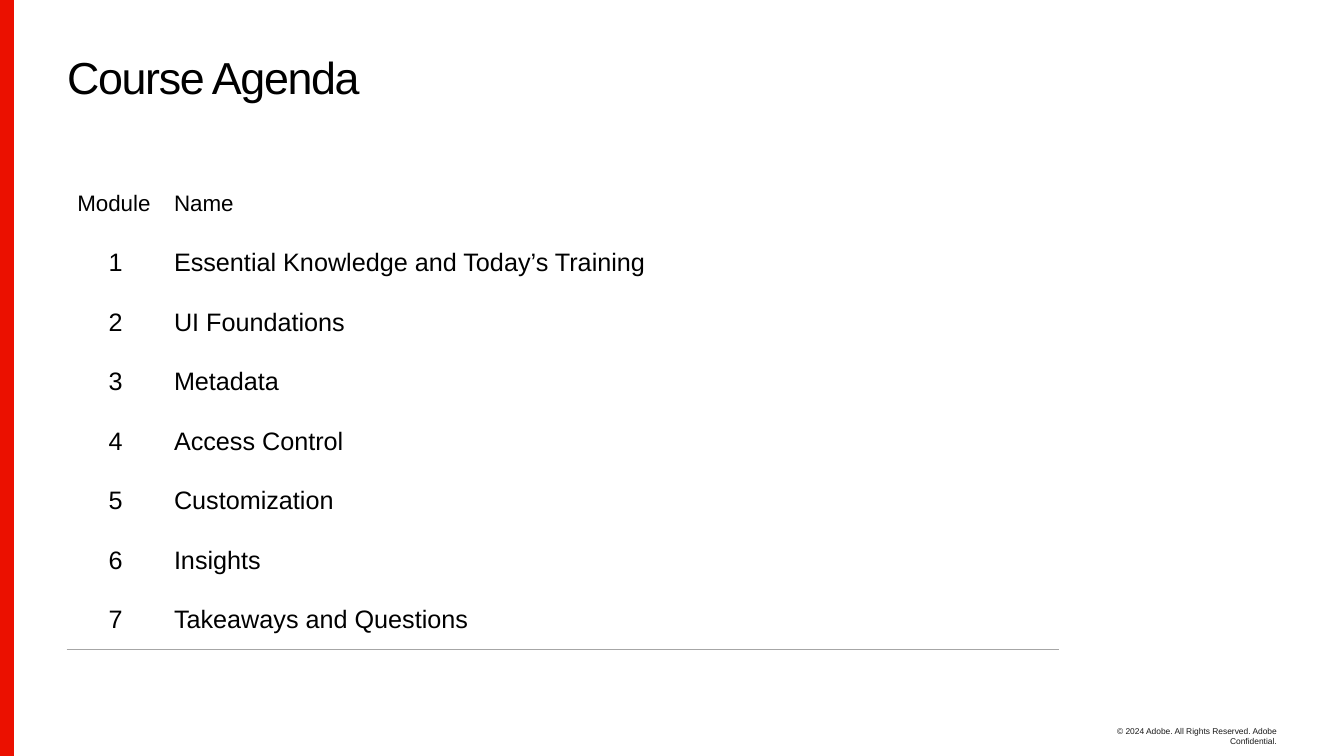
import pptx
import pptx.util
import pptx.dml.color
import pptx.enum.shapes
import pptx.enum.text
import pptx.oxml
import pptx.oxml.ns

Pt = pptx.util.Pt
ALIGN = pptx.enum.text.PP_ALIGN
ANCHOR = pptx.enum.text.MSO_ANCHOR
WIDE, HIGH = 960, 540
NAMES = [
    "Essential Knowledge and Today’s Training",
    "UI Foundations",
    "Metadata",
    "Access Control",
    "Customization",
    "Insights",
    "Takeaways and Questions",
]


def color(code):
    return pptx.dml.color.RGBColor.from_string(code)


def write(frame, text, size, code="000000", align=ALIGN.LEFT):
    para = frame.paragraphs[0]
    para.alignment = align
    run = para.add_run()
    run.text = text
    run.font.name = "Arial"
    run.font.size = Pt(size)
    run.font.bold = False
    run.font.color.rgb = color(code)
    return para, run


def add_box(slide, left, top, width, height, anchor):
    box = slide.shapes.add_textbox(Pt(left), Pt(top), Pt(width), Pt(height))
    frame = box.text_frame
    frame.word_wrap = True
    frame.vertical_anchor = anchor
    frame.margin_left = frame.margin_right = 0
    frame.margin_top = frame.margin_bottom = 0
    return frame


def add_bar(slide, left, top, width, height):
    bar = slide.shapes.add_shape(
        pptx.enum.shapes.MSO_SHAPE.RECTANGLE,
        Pt(left), Pt(top), Pt(width), Pt(height))
    bar.shadow.inherit = False
    bar.fill.solid()
    bar.fill.fore_color.rgb = color("EB1000")
    bar.line.fill.background()


def add_title(slide, left, top, width, height):
    frame = add_box(slide, left, top, width, height, ANCHOR.MIDDLE)
    para, run = write(frame, "Course Agenda", 32)
    para.line_spacing = 0.8
    run.font._element.set("spc", "-100")


def add_foot(slide, left, top, width, height):
    frame = add_box(slide, left, top, width, height, ANCHOR.TOP)
    write(frame, "© 2024 Adobe. All Rights Reserved. Adobe Confidential.",
          6, "191919", ALIGN.RIGHT)


def rule_cell(cell):
    cell.fill.background()
    line = pptx.oxml.parse_xml(
        f'<a:lnB {pptx.oxml.ns.nsdecls("a")} w="6350"><a:solidFill>'
        '<a:srgbClr val="A6A6A6"/></a:solidFill></a:lnB>')
    cell._tc.get_or_add_tcPr().insert(0, line)


def add_agenda(slide, left, top, width, height):
    rows = [("Module", "Name")]
    rows += [(str(num), name) for num, name in enumerate(NAMES, 1)]
    frame = slide.shapes.add_table(
        len(rows), 3, Pt(left), Pt(top), Pt(width), Pt(height))
    table = frame.table
    table.first_row = table.horz_banding = False
    first, last = 69.12, 79.2
    for col, size in zip(table.columns, (first, width - first - last, last)):
        col.width = Pt(size)
    for row in table.rows:
        row.height = Pt(height / len(rows))
    for cell in table.iter_cells():
        rule_cell(cell)
        cell.vertical_anchor = ANCHOR.MIDDLE
    for at, texts in enumerate(rows):
        for col, text in enumerate(texts):
            align = ALIGN.CENTER if at and col == 0 else ALIGN.LEFT
            size = 18 if at else 16
            write(table.cell(at, col).text_frame, text, size, align=align)


def main():
    deck = pptx.Presentation()
    deck.slide_width, deck.slide_height = Pt(WIDE), Pt(HIGH)
    slide = deck.slides.add_slide(deck.slide_layouts[6])
    edge = 48
    add_foot(slide, WIDE - edge - 134.4, 518.4, 134.4, 14)
    add_bar(slide, 0, 0, 10, HIGH)
    add_title(slide, edge, 21, WIDE - 2 * edge, 75)
    add_agenda(slide, edge, 124, 707.76, 340)
    deck.save("out.pptx")


if __name__ == "__main__":
    main()
